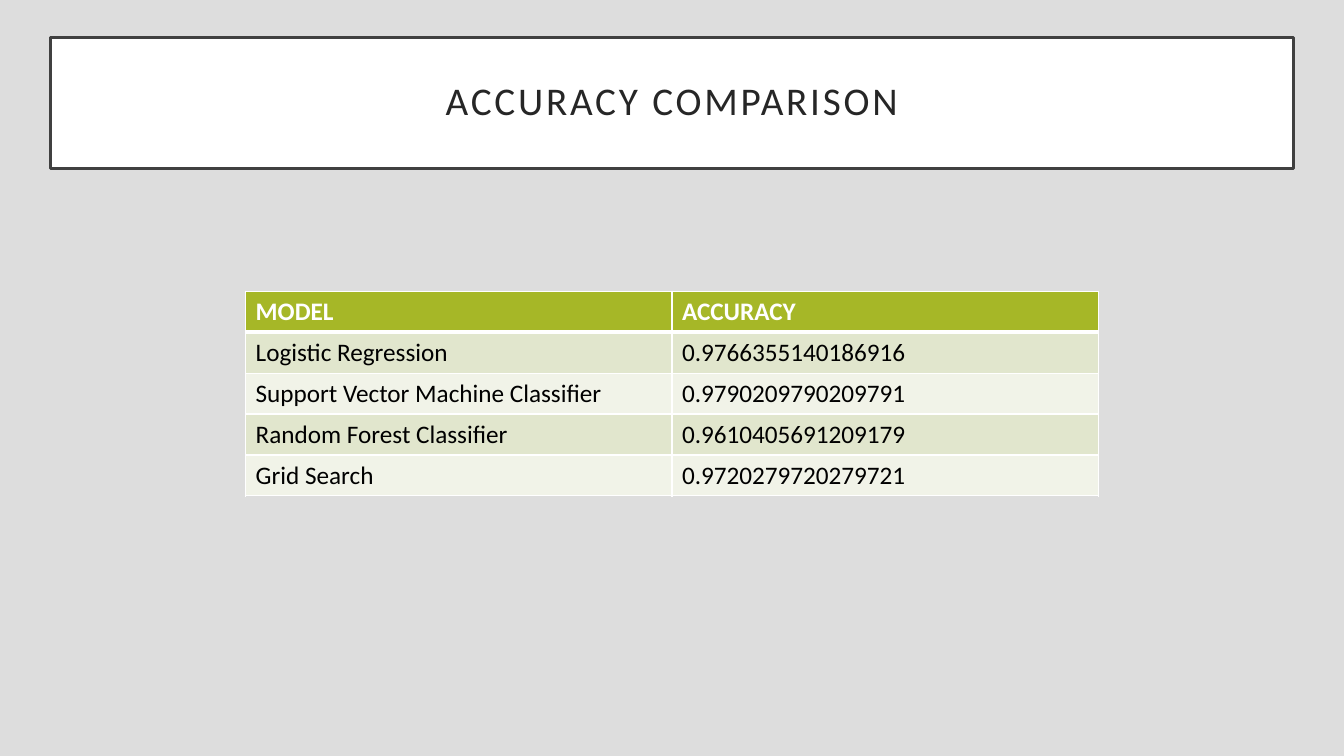
from lxml import etree
from pptx import Presentation
from pptx.dml.color import RGBColor
from pptx.enum.text import MSO_ANCHOR, PP_ALIGN
from pptx.oxml.ns import qn
from pptx.util import Inches, Pt

MID, CENTER = MSO_ANCHOR.MIDDLE, PP_ALIGN.CENTER
FONT = "Calibri"
TITLE = "ACCURACY COMPARISON"
ROWS = [
    ("MODEL", "ACCURACY"),
    ("Logistic Regression", "0.9766355140186916"),
    ("Support Vector Machine Classifier", "0.9790209790209791"),
    ("Random Forest Classifier", "0.9610405691209179"),
    ("Grid Search", "0.9720279720279721"),
]
HEAD, BANDS = "A6B727", ("F1F3E8", "E1E6CD")
WIDE, HIGH = Inches(13.333), Inches(7.5)
EDGE = Inches(0.5)
COL, ROW = Inches(4.23), Inches(0.406)


def color(code):
    return RGBColor.from_string(code)


def paint(fill, code):
    fill.solid()
    fill.fore_color.rgb = color(code)


def write(frame, text, size, code, bold=False):
    run = frame.paragraphs[0].add_run()
    run.text = text
    font = run.font
    font.name, font.size, font.bold = FONT, Pt(size), bold
    font.color.rgb = color(code)
    return run


def border(cell, low):
    props = cell._tc.get_or_add_tcPr()
    for spot, side in enumerate("LRTB"):
        line = etree.Element(qn(f"a:ln{side}"), w=str(Pt(low if side == "B" else 1)))
        fill = etree.SubElement(line, qn("a:solidFill"))
        etree.SubElement(fill, qn("a:srgbClr"), val="FFFFFF")
        props.insert(spot, line)


def add_title(slide):
    box = slide.shapes.title
    box.left, box.top = EDGE, Inches(0.37)
    box.width, box.height = WIDE - 2 * EDGE, Inches(1.3)
    paint(box.fill, "FFFFFF")
    paint(box.line.fill, "404040")
    box.line.width = Pt(2.5)
    frame = box.text_frame
    frame.word_wrap, frame.vertical_anchor = True, MID
    frame.margin_left = frame.margin_right = Inches(0.2)
    frame.margin_top = frame.margin_bottom = Inches(0.2)
    para = frame.paragraphs[0]
    para.alignment, para.line_spacing = CENTER, 0.9
    run = write(frame, TITLE, 28, "262626")
    run.font._element.set("spc", "200")


def add_scores(slide):
    cols = len(ROWS[0])
    wide, high = cols * COL, len(ROWS) * ROW
    left = (WIDE - wide) // 2
    table = slide.shapes.add_table(
        len(ROWS), cols, left, Inches(2.89), wide, high).table
    for r, row in enumerate(ROWS):
        head = r == 0
        for c, text in enumerate(row):
            cell = table.cell(r, c)
            paint(cell.fill, HEAD if head else BANDS[r % 2])
            border(cell, 3 if head else 1)
            write(cell.text_frame, text, 18, "FFFFFF" if head else "000000", head)


def main():
    """Build the accuracy comparison slide."""
    deck = Presentation()
    deck.slide_width, deck.slide_height = WIDE, HIGH
    slide = deck.slides.add_slide(deck.slide_layouts[5])
    paint(slide.background.fill, "DDDDDD")
    add_title(slide)
    add_scores(slide)
    deck.save("out.pptx")


if __name__ == "__main__":
    main()
